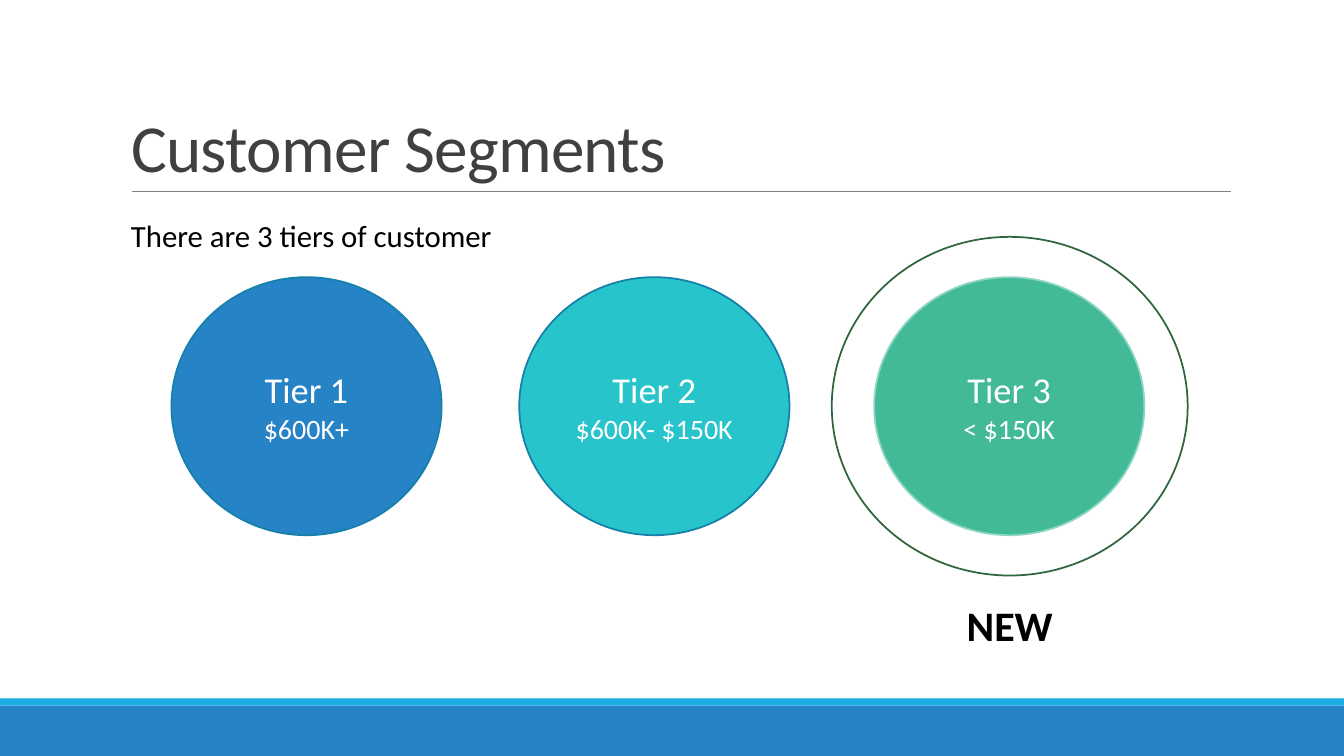
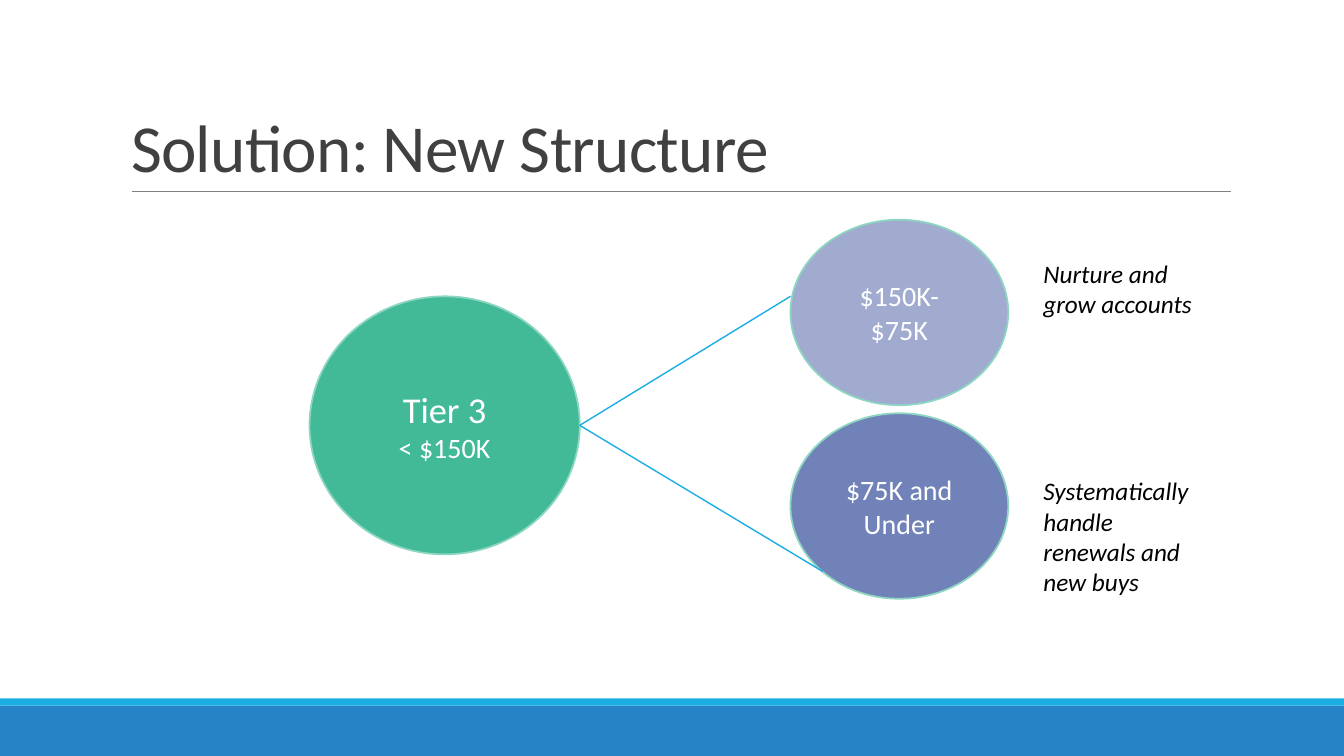
from pptx import Presentation
from pptx.dml.color import RGBColor
from pptx.enum.shapes import MSO_CONNECTOR, MSO_SHAPE
from pptx.enum.text import MSO_ANCHOR, PP_ALIGN
from pptx.oxml.ns import qn
from pptx.util import Inches, Pt
from lxml.etree import SubElement

HUES = {
    "blue": "2683C6", "sky": "1CADE4", "teal": "28C4CC", "green": "42BA97",
    "mint": "8DD6C1", "pine": "2F663E", "sea": "1580A9", "lilac": "A1ABD0",
    "slate": "7182B8", "gray": "808080", "ink": "404040",
    "black": "000000", "white": "FFFFFF",
}
FONT = "Calibri"
WIDE, HIGH = 13.33, 7.5
TITLE = (1.2, 0.31, 11, 1.59)
DISC = (2.68, 2.56)
SMALL = (2.16, 1.84)


def hue(name):
    return RGBColor.from_string(HUES[name])


def style(run, size, color, **marks):
    form = {"name": FONT, "size": Pt(size), **marks}
    for key, value in form.items():
        setattr(run.font, key, value)
    run.font.color.rgb = hue(color)


def write(frame, lines, color="black", align=PP_ALIGN.LEFT, **marks):
    """Write (text, size) pairs, one paragraph each."""
    frame.word_wrap = True
    for i, (text, size) in enumerate(lines):
        para = frame.add_paragraph() if i else frame.paragraphs[0]
        para.alignment = align
        run = para.add_run()
        run.text = text
        style(run, size, color, **marks)


def shape(slide, kind, box, fill=None, edge=None):
    item = slide.shapes.add_shape(kind, *map(Inches, box))
    item.shadow.inherit = False
    if fill:
        item.fill.solid()
        item.fill.fore_color.rgb = hue(fill)
    else:
        item.fill.background()
    if edge:
        item.line.color.rgb = hue(edge)
        item.line.width = Pt(1.25)
    else:
        item.line.fill.background()
    return item


def disc(slide, box, fill, edge, lines):
    item = shape(slide, MSO_SHAPE.OVAL, box, fill, edge)
    item.text_frame.vertical_anchor = MSO_ANCHOR.MIDDLE
    write(item.text_frame, lines, "white", PP_ALIGN.CENTER)


def tier(slide, left, top, fill, edge, name, span):
    disc(slide, (left, top, *DISC), fill, edge, [(name, 26), (span, 20)])


def label(slide, box, text, size, **marks):
    item = slide.shapes.add_textbox(*map(Inches, box))
    write(item.text_frame, [(text, size)], **marks)


def line(slide, start, end, color, width):
    item = slide.shapes.add_connector(
        MSO_CONNECTOR.STRAIGHT, *map(Inches, (*start, *end)))
    item.line.color.rgb = hue(color)
    item.line.width = Pt(width)
    SubElement(item.element.spPr, qn("a:effectLst"))
    return item


def frame(slide):
    """Place the bands and title rule on the layout shared by all slides."""
    parts = [
        shape(slide, MSO_SHAPE.RECTANGLE, (0, 7, WIDE, 0.5), "blue"),
        shape(slide, MSO_SHAPE.RECTANGLE, (0, 6.93, WIDE, 0.07), "sky"),
        line(slide, (1.31, 1.9), (12.21, 1.9), "gray", 0.5),
    ]
    tree = slide.slide_layout.placeholders[0].element.getparent()
    for part in parts:
        tree.append(part.element)


def head(slide, text):
    title = slide.shapes.title
    for key, value in zip(("left", "top", "width", "height"), TITLE):
        setattr(title, key, Inches(value))
    title.text_frame.vertical_anchor = MSO_ANCHOR.BOTTOM
    write(title.text_frame, [(text, 48)], "ink")
    para = title.text_frame.paragraphs[0]
    para.line_spacing = 0.85
    para.runs[0].font._element.set("spc", "-50")


def segments(slide):
    head(slide, "Customer Segments")
    label(slide, (1.2, 2.1, 7.31, 0.84), "There are 3 tiers of customer", 22)
    # Tiers
    tiers = [
        (1.7, "blue", "sea", "Tier 1", "$600K+"),
        (5.15, "teal", "sea", "Tier 2", "$600K- $150K"),
        (8.67, "green", "mint", "Tier 3", "< $150K"),
    ]
    for left, *rest in tiers:
        tier(slide, left, 2.75, *rest)
    # Ring around the new tier
    shape(slide, MSO_SHAPE.OVAL, (8.25, 2.35, 3.53, 3.36), edge="pine")
    label(slide, (8.83, 5.9, 2.37, 0.91), "NEW", 30,
          align=PP_ALIGN.CENTER, bold=True)


def structure(slide):
    head(slide, "Solution: New Structure")
    left, top = 3.07, 2.94
    tier(slide, left, top, "green", "mint", "Tier 3", "< $150K")
    # Branches: top, fill, range, line end, note box, note
    hub = (left + DISC[0], top + DISC[1] / 2)
    parts = [
        (2.18, "lilac", "$150K- $75K", (7.84, 2.94),
         (10.25, 2.51, 1.68, 0.71), "Nurture and grow accounts"),
        (4.1, "slate", "$75K and Under", (8.16, 5.67),
         (10.25, 4.67, 1.68, 1.31),
         "Systematically handle renewals and new buys"),
    ]
    for y, fill, span, end, box, note in parts:
        disc(slide, (7.84, y, *SMALL), fill, "mint", [(span, 20)])
        line(slide, hub, end, "sky", 1)
        label(slide, box, note, 18, italic=True)


def main():
    deck = Presentation()
    deck.slide_width, deck.slide_height = Inches(WIDE), Inches(HIGH)
    layout = deck.slide_layouts[5]
    for i, build in enumerate((segments, structure)):
        slide = deck.slides.add_slide(layout)
        if i == 0:
            frame(slide)
        build(slide)
    deck.save("out.pptx")


if __name__ == "__main__":
    main()
